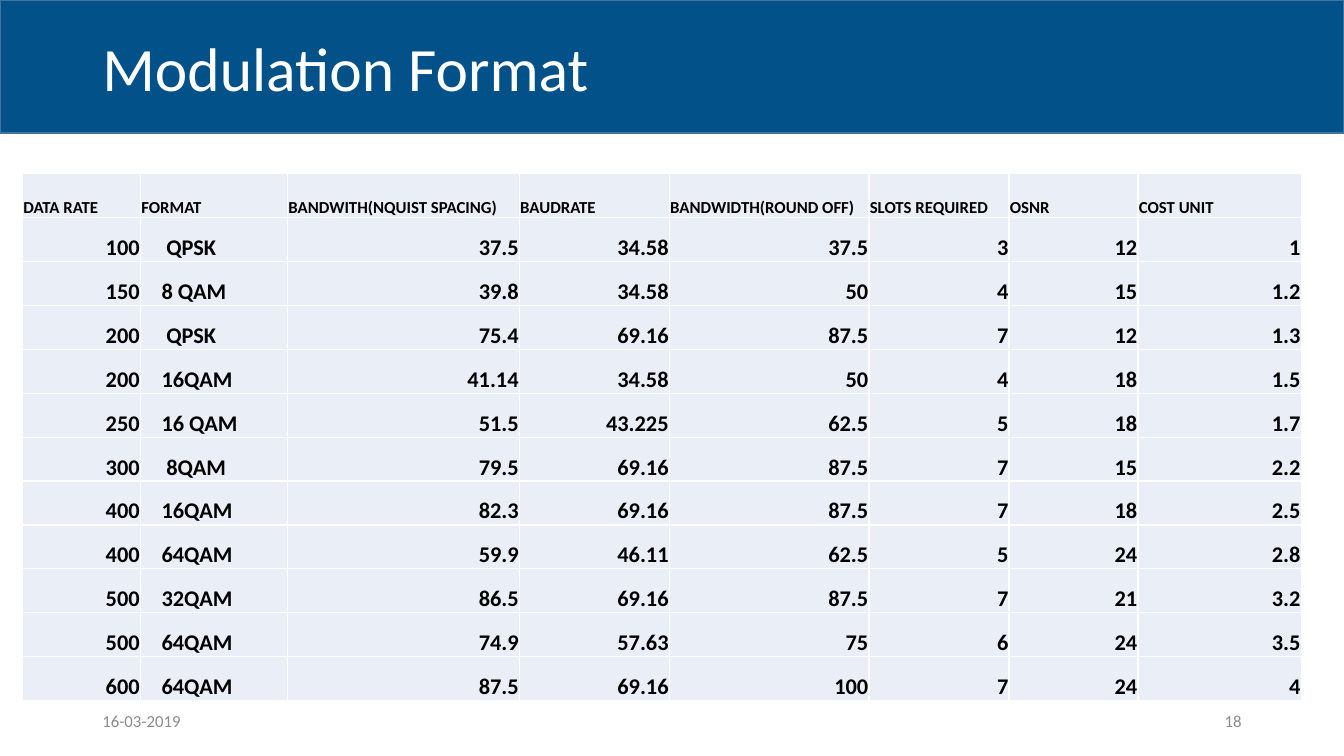
"""Build the modulation format slide with its table of transmission parameters."""
from dataclasses import dataclass

from lxml import etree
from pptx import Presentation
from pptx.dml.color import RGBColor
from pptx.enum.shapes import MSO_SHAPE
from pptx.enum.text import MSO_ANCHOR, PP_ALIGN
from pptx.oxml.ns import qn
from pptx.util import Cm, Pt

RECT = MSO_SHAPE.RECTANGLE
MIDDLE, BOTTOM = MSO_ANCHOR.MIDDLE, MSO_ANCHOR.BOTTOM
LEFT, RIGHT = PP_ALIGN.LEFT, PP_ALIGN.RIGHT


@dataclass(frozen=True)
class Theme:
    font: str = "Calibri"
    banner: str = "025189"
    banner_line: str = "43739E"
    white: str = "FFFFFF"
    black: str = "000000"
    grey: str = "8C8C8C"
    cell: str = "EAEFF7"
    title_size: int = 44
    body_size: int = 16
    small_size: int = 12


THEME = Theme()
SLIDE_W, SLIDE_H = 33.87, 19.05
TABLE_LEFT, TABLE_TOP, TABLE_H = 0.57, 4.38, 13.28
COLUMN_WIDTHS = (2.97, 3.71, 5.84, 3.78, 5.03, 3.53, 3.25, 4.11)
FORMAT_COLUMN = 1
CELL_MARGIN, FORMAT_INDENT, DEEP_INDENT = 0.02, 0.53, 0.65
DEEP_FORMATS = ("QPSK", "8QAM")
HEADERS = ("DATA RATE", "FORMAT", "BANDWITH(NQUIST SPACING)", "BAUDRATE",
           "BANDWIDTH(ROUND OFF)", "SLOTS REQUIRED", "OSNR", "COST UNIT")
ROWS = (
    (100, "QPSK", 37.5, 34.58, 37.5, 3, 12, 1),
    (150, "8 QAM", 39.8, 34.58, 50, 4, 15, 1.2),
    (200, "QPSK", 75.4, 69.16, 87.5, 7, 12, 1.3),
    (200, "16QAM", 41.14, 34.58, 50, 4, 18, 1.5),
    (250, "16 QAM", 51.5, 43.225, 62.5, 5, 18, 1.7),
    (300, "8QAM", 79.5, 69.16, 87.5, 7, 15, 2.2),
    (400, "16QAM", 82.3, 69.16, 87.5, 7, 18, 2.5),
    (400, "64QAM", 59.9, 46.11, 62.5, 5, 24, 2.8),
    (500, "32QAM", 86.5, 69.16, 87.5, 7, 21, 3.2),
    (500, "64QAM", 74.9, 57.63, 75, 6, 24, 3.5),
    (600, "64QAM", 87.5, 69.16, 100, 7, 24, 4),
)


def set_all(target, values):
    """Set every attribute named in values on target."""
    for name, value in values.items():
        setattr(target, name, value)


def write(tf, text, size, color, bold=False, align=LEFT, spacing=1.0):
    """Write one formatted paragraph into a text frame."""
    p = tf.paragraphs[0]
    set_all(p, {"alignment": align, "line_spacing": spacing})
    r = p.add_run()
    r.text = text
    set_all(r.font, {"name": THEME.font, "size": Pt(size), "bold": bold})
    r.font.color.rgb = RGBColor.from_string(color)


def add_banner(s):
    """Draw the title band across the top of the slide."""
    sp = s.shapes.add_shape(RECT, 0, 0, Cm(SLIDE_W), Cm(3.35))
    sp.shadow.inherit = False
    sp.fill.solid()
    sp.fill.fore_color.rgb = RGBColor.from_string(THEME.banner)
    sp.line.color.rgb = RGBColor.from_string(THEME.banner_line)
    sp.line.width = Pt(1)


def add_text(s, box, text, size, color, **paragraph):
    """Add a wrapped, vertically centred text box."""
    tf = s.shapes.add_textbox(*map(Cm, box)).text_frame
    set_all(tf, {"word_wrap": True, "vertical_anchor": MIDDLE})
    write(tf, text, size, color, **paragraph)


def add_borders(cell):
    """Give a cell thin white borders on all four sides."""
    tc_pr = cell._tc.get_or_add_tcPr()
    for side in ("lnL", "lnR", "lnT", "lnB"):
        ln = etree.SubElement(tc_pr, qn(f"a:{side}"), w=str(Pt(1)))
        fill = etree.SubElement(ln, qn("a:solidFill"))
        etree.SubElement(fill, qn("a:srgbClr"), val=THEME.white)


def fill_cell(cell, text, size, align, indent):
    """Style one table cell and write its text."""
    set_all(cell, {"margin_left": Cm(indent), "margin_right": Cm(CELL_MARGIN),
                   "margin_top": Cm(CELL_MARGIN), "margin_bottom": 0,
                   "vertical_anchor": BOTTOM})
    add_borders(cell)
    cell.fill.solid()
    cell.fill.fore_color.rgb = RGBColor.from_string(THEME.cell)
    write(cell.text_frame, text, size, THEME.black, bold=True, align=align)


def format_indent(name):
    """Return the left indent of a modulation format name."""
    return DEEP_INDENT if name in DEEP_FORMATS else FORMAT_INDENT


def add_format_table(s):
    """Add the table of modulation formats."""
    count = len(ROWS) + 1
    table = s.shapes.add_table(
        count, len(HEADERS), Cm(TABLE_LEFT), Cm(TABLE_TOP),
        Cm(sum(COLUMN_WIDTHS)), Cm(TABLE_H)).table
    set_all(table, {"first_row": False, "horz_banding": False})
    for column, width in zip(table.columns, COLUMN_WIDTHS):
        column.width = Cm(width)
    for row in table.rows:
        row.height = Cm(TABLE_H / count)
    for j, header in enumerate(HEADERS):
        fill_cell(table.cell(0, j), header, THEME.small_size, LEFT, CELL_MARGIN)
    for i, values in enumerate(ROWS, 1):
        for j, value in enumerate(values):
            is_format = j == FORMAT_COLUMN
            fill_cell(table.cell(i, j), str(value), THEME.body_size,
                      LEFT if is_format else RIGHT,
                      format_indent(value) if is_format else CELL_MARGIN)


def main():
    """Build and save the slide."""
    prs = Presentation()
    set_all(prs, {"slide_width": Cm(SLIDE_W), "slide_height": Cm(SLIDE_H)})
    s = prs.slides.add_slide(prs.slide_layouts[6])
    add_banner(s)
    add_text(s, (23.92, 17.66, 7.62, 1.01), "18",
             THEME.small_size, THEME.grey, align=RIGHT)
    add_text(s, (2.33, -0.03, 29.21, 3.68), "Modulation Format",
             THEME.title_size, THEME.white, spacing=0.9)
    add_text(s, (2.33, 17.66, 7.62, 1.01), "16-03-2019",
             THEME.small_size, THEME.grey)
    add_format_table(s)
    prs.save("out.pptx")


if __name__ == "__main__":
    main()
